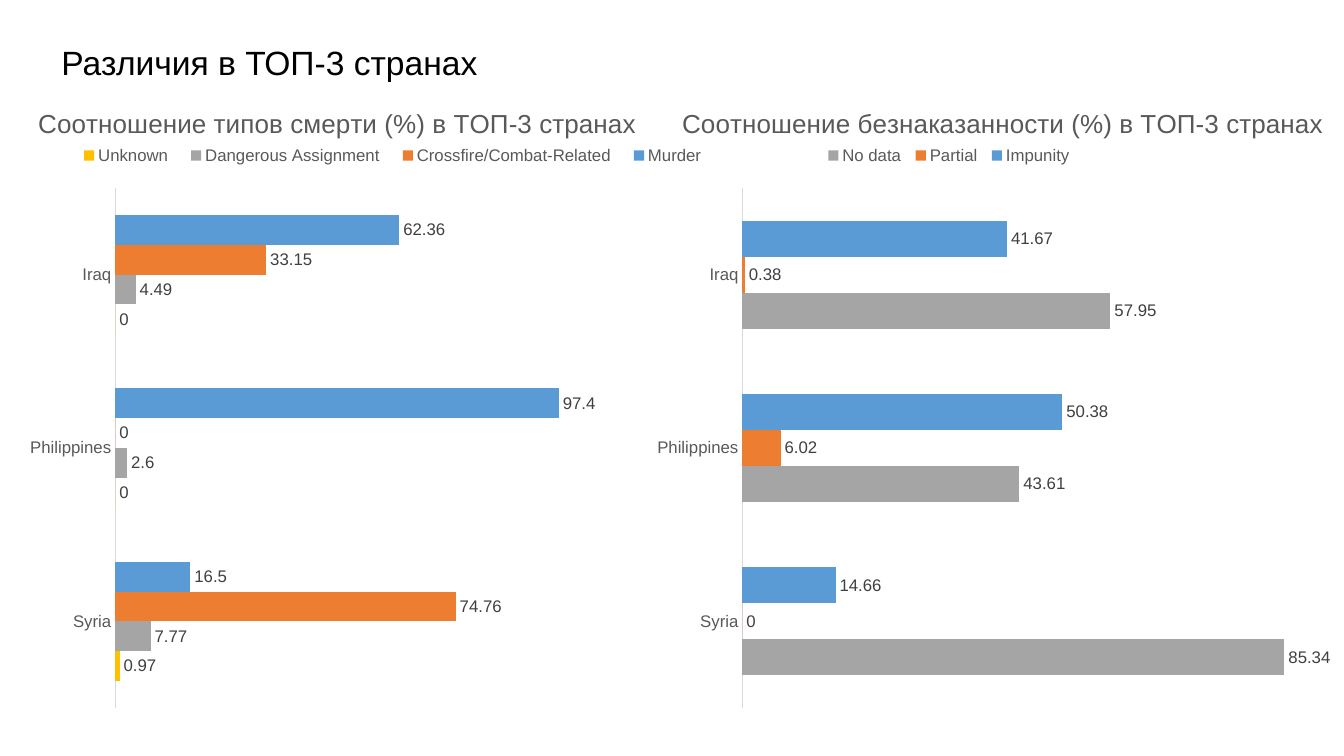
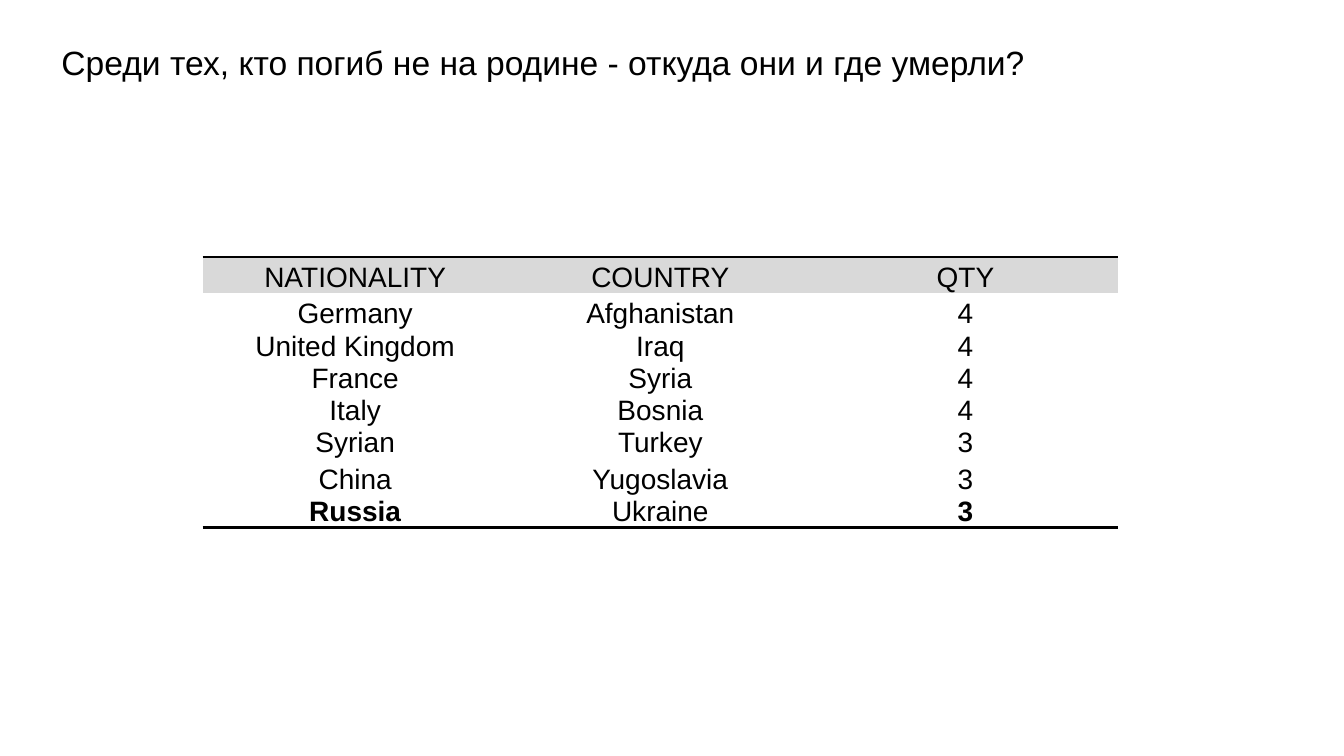
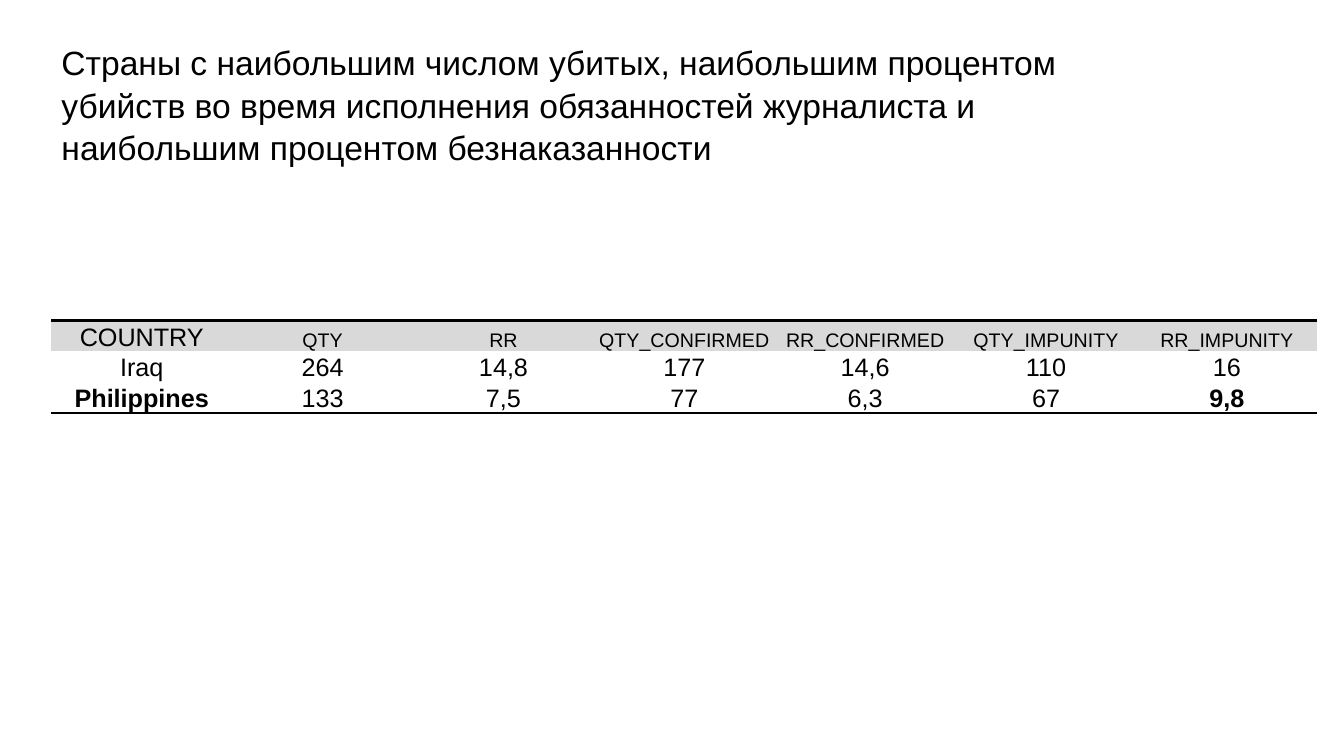
from dataclasses import dataclass

from lxml import etree
from pptx import Presentation
from pptx.chart.data import CategoryChartData
from pptx.dml.color import RGBColor as Rgb
from pptx.enum import chart as ch, text as tx
from pptx.oxml import parse_xml
from pptx.oxml.ns import nsdecls
from pptx.util import Pt


@dataclass(frozen=True)
class Theme:
    face: str = "Arial"
    ink: str = "000000"
    soft: str = "595959"
    value: str = "404040"
    rule: str = "D9D9D9"
    head: str = "D9D9D9"
    paper: str = "FFFFFF"
    title: float = 24
    chart: float = 18.6
    label: float = 12


T = Theme()


def style(font, size, color, bold=False):
    font.name, font.size, font.bold = T.face, Pt(size), bold
    font.color.rgb = Rgb.from_string(color)


def place(node, spot, box, inner=False):
    """Give a chart part a manual layout, as fractions of the chart."""
    for old in node.findall("{*}layout"):
        node.remove(old)
    tags = '<c:layoutTarget val="inner"/>' if inner else ""
    tags += "".join(f'<c:{key}Mode val="edge"/>' for key in "xy")
    tags += "".join(f'<c:{key} val="{val}"/>' for key, val in zip("xywh", box))
    node.insert(spot, parse_xml(
        f'<c:layout {nsdecls("c")}><c:manualLayout>{tags}</c:manualLayout></c:layout>'))


deck = Presentation()
deck.slide_width, deck.slide_height = Pt(960), Pt(540)

# Slides and titles
TITLES = [
    ("Различия в ТОП-3 странах", 36),
    ("Среди тех, кто погиб не на родине - откуда они и где умерли?", 36),
    ("Страны с наибольшим числом убитых, наибольшим процентом убийств во время "
     "исполнения обязанностей журналиста и наибольшим процентом безнаказанности", 94),
]
slides = []
for words, high in TITLES:
    slide = deck.slides.add_slide(deck.slide_layouts[5])
    title = slide.shapes.title
    title.left, title.top, title.width, title.height = Pt(36.7), Pt(25.2), Pt(772.6), Pt(high)
    frame = title.text_frame
    frame.text = words
    frame.word_wrap = True
    frame.auto_size = tx.MSO_AUTO_SIZE.NONE
    frame.vertical_anchor = tx.MSO_ANCHOR.TOP
    line = frame.paragraphs[0]
    line.alignment = tx.PP_ALIGN.LEFT
    line.line_spacing = 1.05
    style(line.runs[0].font, T.title, T.ink)
    slides.append(slide)

# Bar charts: left, title, title place, legend place, plot width, series
LANDS = ["Iraq", "Philippines", "Syria"]
CHARTS = [
    (0, "Соотношение типов смерти (%) в ТОП-3 странах",
     (0.04, 0.02), (0.08, 0.08, 0.78, 0.05), 0.545, [
         ("Murder", "5B9BD5", (62.36, 97.4, 16.5)),
         ("Crossfire/Combat-Related", "ED7D31", (33.15, 0, 74.76)),
         ("Dangerous Assignment", "A5A5A5", (4.49, 2.6, 7.77)),
         ("Unknown", "FFC000", (0, 0, 0.97))]),
    (448, "Соотношение безнаказанности (%) в ТОП-3 странах",
     (0.06, 0.02), (0.23, 0.08, 0.31, 0.05), 0.76, [
         ("Impunity", "5B9BD5", (41.67, 50.38, 14.66)),
         ("Partial", "ED7D31", (0.38, 6.02, 0)),
         ("No data", "A5A5A5", (57.95, 43.61, 85.34))]),
]
for left, words, spot, key, wide, rows in CHARTS:
    data = CategoryChartData()
    data.categories = LANDS
    for name, _, vals in rows:
        data.add_series(name, vals)
    chart = slides[0].shapes.add_chart(
        ch.XL_CHART_TYPE.BAR_CLUSTERED, Pt(left), Pt(63.4), Pt(597), Pt(454.3), data).chart
    style(chart.font, T.label, T.soft)

    chart.has_title = True
    chart.chart_title.text_frame.text = words
    style(chart.chart_title.text_frame.paragraphs[0].runs[0].font, T.chart, T.soft)
    place(chart.chart_title._element, 1, spot)

    chart.has_legend = True
    legend = chart.legend
    legend.position = ch.XL_LEGEND_POSITION.TOP
    legend.include_in_layout = False
    style(legend.font, T.label, T.soft)
    place(legend._element, 1, key)
    place(chart._chartSpace.chart.plotArea, 0, (0.138, 0.156, wide, 0.818), inner=True)

    axis = chart.category_axis
    axis.reverse_order = True
    axis.major_tick_mark = ch.XL_TICK_MARK.NONE
    axis.format.line.color.rgb = Rgb.from_string(T.rule)
    axis.format.line.width = Pt(0.75)
    style(axis.tick_labels.font, T.label, T.soft)
    scale = chart.value_axis
    scale.minimum_scale, scale.maximum_scale = 0, 100
    scale.has_major_gridlines = False
    scale.visible = False

    plot = chart.plots[0]
    plot.gap_width, plot.overlap, plot.vary_by_categories = 182, 0, False
    for bar, (_, color, _) in zip(plot.series, rows):
        bar.format.fill.solid()
        bar.format.fill.fore_color.rgb = Rgb.from_string(color)
        bar.invert_if_negative = False
        marks = bar.data_labels
        marks.show_value = True
        marks.position = ch.XL_LABEL_POSITION.OUTSIDE_END
        style(marks.font, T.label, T.value)

# Tables: slide, left, top, column width, row heights, sizes, bold cells, text
TABLES = [
    (slides[1], 144.7, 183.6, 218, (26, 26, 23, 23, 23, 23, 26, 23), (20, 20, 20),
     {(7, 0), (7, 2)}, """NATIONALITY|COUNTRY|QTY
Germany|Afghanistan|4
United Kingdom|Iraq|4
France|Syria|4
Italy|Bosnia|4
Syrian|Turkey|3
China|Yugoslavia|3
Russia|Ukraine|3"""),
    (slides[2], 36.7, 229, 129.2, (22, 22, 22), (18, 14, 18),
     {(2, 0), (2, 6)}, """COUNTRY|QTY|RR|QTY_CONFIRMED|RR_CONFIRMED|QTY_IMPUNITY|RR_IMPUNITY
Iraq|264|14,8|177|14,6|110|16
Philippines|133|7,5|77|6,3|67|9,8"""),
]
PLAIN = "{2D5ABB26-0587-4C30-8999-92F81FD0307C}"
for slide, left, top, wide, highs, (first, head, body), bold, words in TABLES:
    grid = [row.split("|") for row in words.splitlines()]
    count = len(grid[0])
    table = slide.shapes.add_table(len(grid), count, Pt(left), Pt(top),
                                   Pt(wide * count), Pt(sum(highs))).table
    table.first_row = table.horz_banding = False
    table._tbl.tblPr[0].text = PLAIN
    for col in table.columns:
        col.width = Pt(wide)
    for r, row in enumerate(grid):
        table.rows[r].height = Pt(highs[r])
        for c, word in enumerate(row):
            cell = table.cell(r, c)
            cell.margin_left = cell.margin_right = cell.margin_top = Pt(0.7)
            cell.margin_bottom = 0
            cell.vertical_anchor = tx.MSO_ANCHOR.BOTTOM
            cell.fill.solid()
            cell.fill.fore_color.rgb = Rgb.from_string(T.paper if r else T.head)
            cell.text = word
            line = cell.text_frame.paragraphs[0]
            line.alignment = tx.PP_ALIGN.CENTER
            size = body if r else head if c else first
            style(line.runs[0].font, size, T.ink, (r, c) in bold)
            if r in (0, len(grid) - 1):
                side = "B" if r else "T"
                cell._tc.tcPr.insert(0, etree.fromstring(
                    f'<a:ln{side} {nsdecls("a")} w="{Pt(2)}"><a:solidFill>'
                    f'<a:srgbClr val="{T.ink}"/></a:solidFill></a:ln{side}>'))

deck.save("out.pptx")
